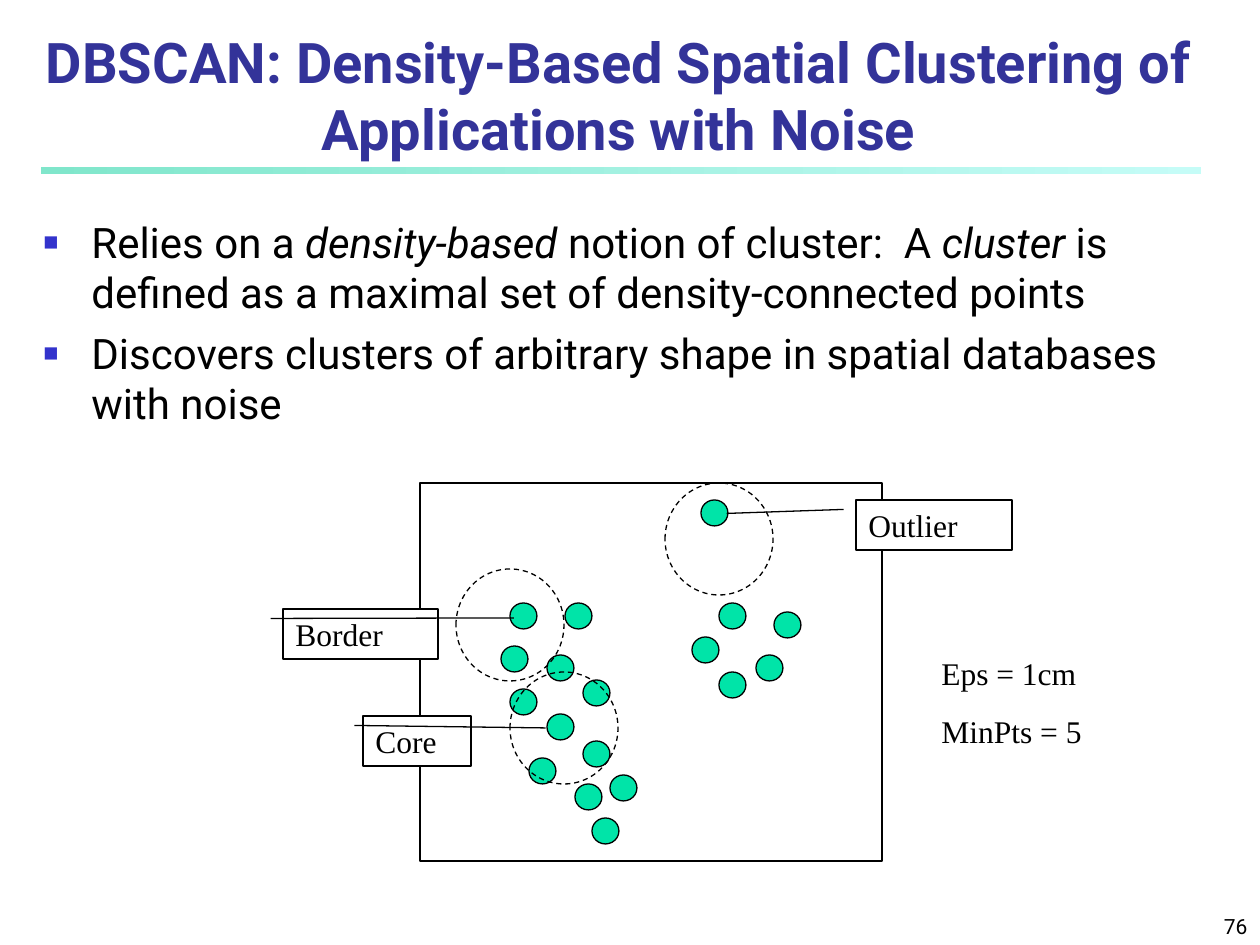
import pptx
import pptx.util
import pptx.dml.color
import pptx.enum.dml
import pptx.enum.shapes
import pptx.enum.text
import lxml.etree

SCALE = 914400 / 126
SHAPE = pptx.enum.shapes.MSO_SHAPE
ALIGN = pptx.enum.text.PP_ALIGN
ANCHOR = pptx.enum.text.MSO_ANCHOR
SANS, SERIF = "Roboto", "Times New Roman"
HEX = {
    "title": "333399", "ink": "000000", "bullet": "3333CC", "dot": "00E4A8",
    "paper": "FFFFFF", "rule_a": "80E6CB", "rule_b": "C5FCF7",
}

TITLE = "DBSCAN: Density-Based Spatial Clustering of Applications with Noise"
# Each paragraph is a list of (text, italic) runs
POINTS = [
    [("Relies on a ", False), ("density-based", True),
     (" notion of cluster:  A ", False), ("cluster", True),
     (" is defined as a maximal set of density-connected points", False)],
    [("Discovers clusters of arbitrary shape in spatial databases with noise", False)],
]
PARAMS = ["Eps = 1cm", "MinPts = 5"]
PAGE = "76"

DOT = (27, 26)
RING = (108, 112)
DOTS = [
    (510, 603), (501, 646), (547, 655), (565, 603), (583, 680), (510, 689),
    (547, 714), (529, 758), (575, 784), (592, 818), (583, 741), (610, 775),
    (701, 500), (719, 603), (692, 637), (756, 655), (774, 612), (719, 672),
]
RINGS = [(456, 569), (510, 672), (665, 483)]
# Label, box, and the far end of its leader as fractions (down, across)
LABELS = [
    ("Core", (363, 716, 108, 50), (0.24, 1.69)),
    ("Border", (283, 609, 155, 50), (0.18, 1.49)),
    ("Outlier", (856, 500, 156, 50), (0.27, -0.83)),
]


def px(n):
    return pptx.util.Emu(round(n * SCALE))


def rgb(name):
    return pptx.dml.color.RGBColor.from_string(HEX[name])


def mark(para):
    """Give a paragraph a hanging square bullet."""
    props = para._p.get_or_add_pPr()
    props.set("marL", str(px(48)))
    props.set("indent", str(-px(48)))
    space = pptx.oxml.ns.qn
    color = lxml.etree.SubElement(props, space("a:buClr"))
    lxml.etree.SubElement(color, space("a:srgbClr"), val=HEX["bullet"])
    lxml.etree.SubElement(props, space("a:buSzPct"), val="60000")
    lxml.etree.SubElement(props, space("a:buFont"), typeface="Arial")
    lxml.etree.SubElement(props, space("a:buChar"), char="■")


def write(shape, paras, size=18, face=SERIF, color="ink", bold=False,
          align=ALIGN.LEFT, anchor=ANCHOR.TOP, gap=0, bullet=False):
    frame = shape.text_frame
    frame.word_wrap = True
    frame.vertical_anchor = anchor
    for i, runs in enumerate(paras):
        para = frame.add_paragraph() if i else frame.paragraphs[0]
        if bullet:
            mark(para)
        para.alignment = align
        if i and gap:
            para.space_before = pptx.util.Pt(gap)
        for text, slant in [(runs, False)] if isinstance(runs, str) else runs:
            run = para.add_run()
            run.text = text
            font = run.font
            font.name, font.size = face, pptx.util.Pt(size)
            font.bold, font.italic = bold, slant
            font.color.rgb = rgb(color)


def draw(slide, kind, box, fill=None, dash=False):
    shape = slide.shapes.add_shape(kind, *map(px, box))
    shape.shadow.inherit = False
    if fill:
        shape.fill.solid()
        shape.fill.fore_color.rgb = rgb(fill)
    else:
        shape.fill.background()
    shape.line.color.rgb = rgb("ink")
    shape.line.width = pptx.util.Pt(0.75)
    if dash:
        shape.line.dash_style = pptx.enum.dml.MSO_LINE.DASH
    return shape


def rule(slide):
    bar = draw(slide, SHAPE.RECTANGLE, (41, 167, 1160, 7))
    bar.line.fill.background()
    bar.fill.gradient()
    bar.fill.gradient_angle = 0
    for stop, name in zip(bar.fill.gradient_stops, ("rule_a", "rule_b")):
        stop.color.rgb = rgb(name)


def main():
    deck = pptx.Presentation()
    deck.slide_width, deck.slide_height = px(1260), px(945)
    slide = deck.slides.add_slide(deck.slide_layouts[6])

    def area(*box):
        return slide.shapes.add_textbox(*map(px, box))

    rule(slide)
    write(area(31, 31, 1176, 137), [TITLE], size=32, face=SANS, color="title",
          bold=True, align=ALIGN.CENTER, anchor=ANCHOR.BOTTOM)
    write(area(31, 210, 1176, 693), POINTS, size=24, face=SANS, gap=6, bullet=True)

    for spot in DOTS:
        draw(slide, SHAPE.OVAL, spot + DOT, fill="dot")
    draw(slide, SHAPE.RECTANGLE, (420, 483, 462, 378))
    for spot in RINGS:
        draw(slide, SHAPE.OVAL, spot + RING, dash=True)
    for text, box, end in LABELS:
        label = draw(slide, SHAPE.LINE_CALLOUT_1, box, fill="paper")
        for i, value in enumerate((0.19, -0.08) + end):
            label.adjustments[i] = value
        write(label, [text])

    write(area(929, 648, 227, 108), PARAMS, gap=11.2)
    write(area(998, 892, 262, 53), [PAGE], size=12, face=SANS,
          align=ALIGN.RIGHT, anchor=ANCHOR.BOTTOM)
    deck.save("out.pptx")


if __name__ == "__main__":
    main()
